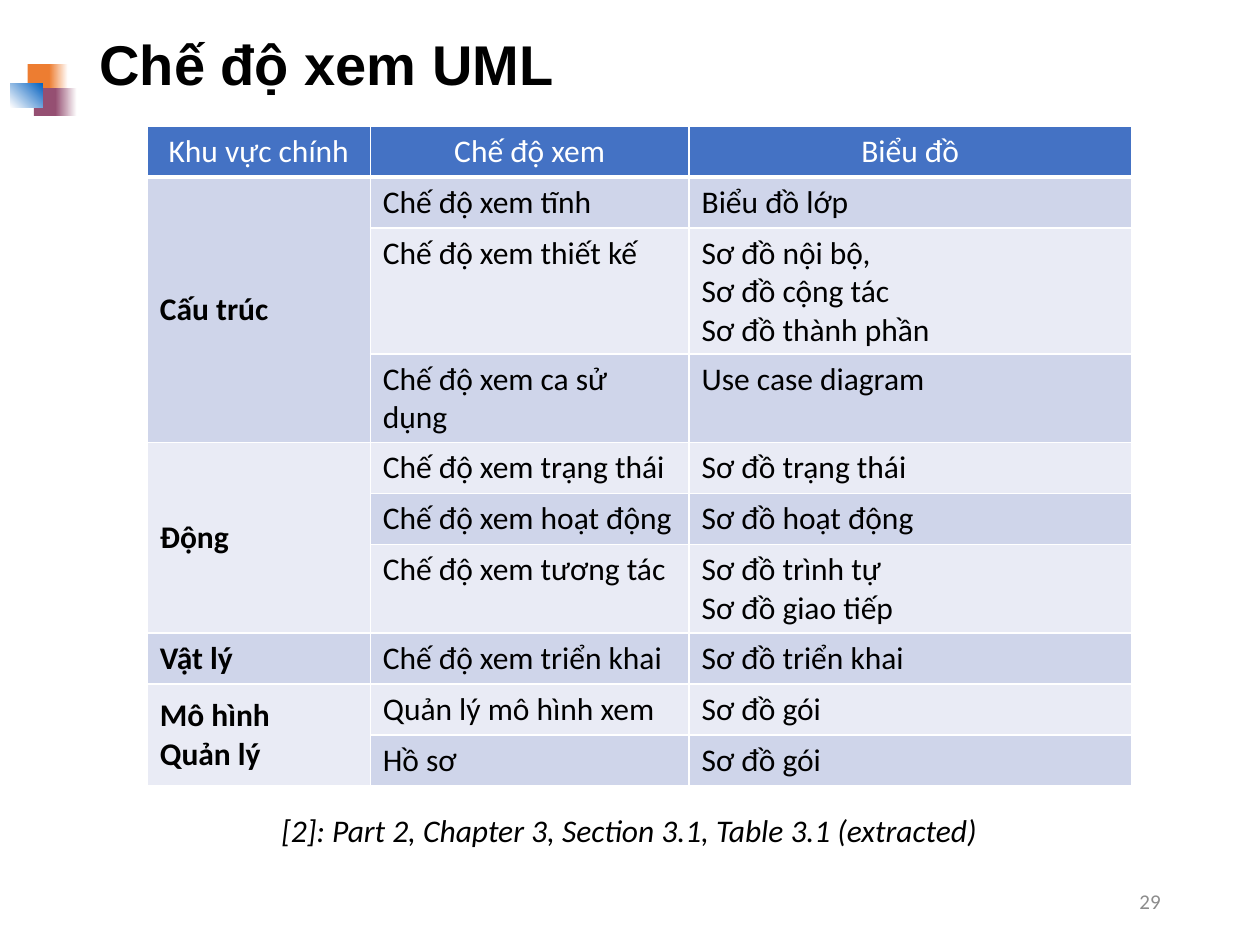
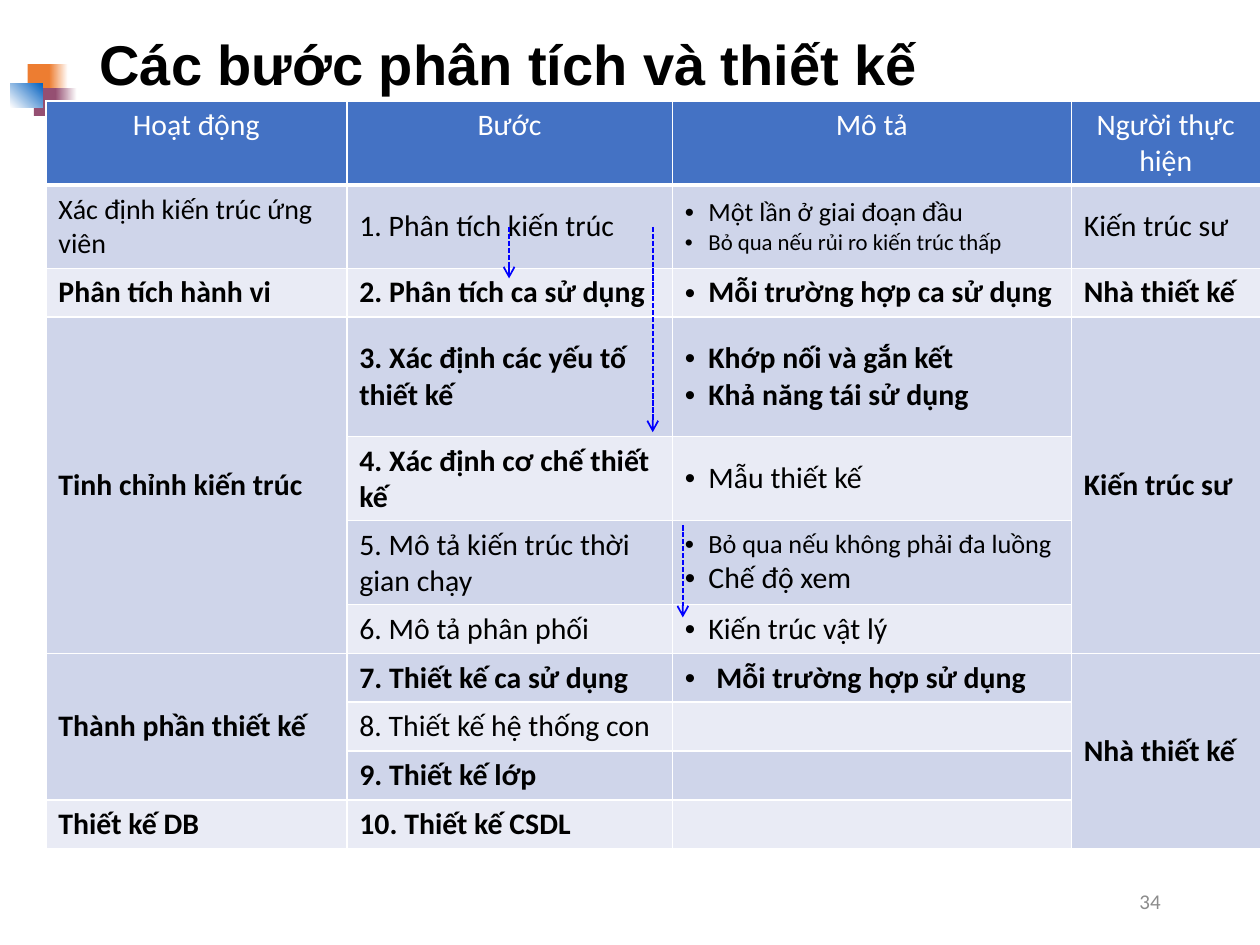
from lxml.etree import SubElement
from pptx import Presentation
from pptx.dml.color import RGBColor
from pptx.enum.dml import MSO_LINE
from pptx.enum.shapes import MSO_CONNECTOR, MSO_SHAPE
from pptx.enum.text import MSO_ANCHOR, PP_ALIGN
from pptx.oxml.ns import qn
from pptx.util import Pt

BLACK, WHITE, GREY = "000000", "FFFFFF", "8C8C8C"
ORANGE, PLUM, BLUE = "ED7D31", "954F72", "0563C1"
HEADER, BANDS, ARROW = "4472C4", ("CFD5EA", "E9EBF5"), "0000FF"

BLOCKS = [
    (15.8, 36.7, 14.4, 15.8, [ORANGE], 0),
    (28.1, 36.7, 10.8, 15.8, [ORANGE, WHITE], 0),
    (19.4, 50.4, 13.7, 15.8, [PLUM], 0),
    (31.7, 50.4, 12.2, 15.8, [PLUM, WHITE], 0),
    (5.8, 47.5, 18.7, 13.7, [WHITE, BLUE], 45),
]

# None continues the cell above; a leading * makes a cell bold.
VIEWS = [
    ("Khu vực chính", "Chế độ xem", "Biểu đồ"),
    ("*Cấu trúc", "Chế độ xem tĩnh", "Biểu đồ lớp"),
    (None, "Chế độ xem thiết kế", "Sơ đồ nội bộ,\nSơ đồ cộng tác\nSơ đồ thành phần"),
    (None, "Chế độ xem ca sử dụng", "Use case diagram"),
    ("*Động", "Chế độ xem trạng thái", "Sơ đồ trạng thái"),
    (None, "Chế độ xem hoạt động", "Sơ đồ hoạt động"),
    (None, "Chế độ xem tương tác", "Sơ đồ trình tự\nSơ đồ giao tiếp"),
    ("*Vật lý", "Chế độ xem triển khai", "Sơ đồ triển khai"),
    ("*Mô hình\nQuản lý", "Quản lý mô hình xem", "Sơ đồ gói"),
    (None, "Hồ sơ", "Sơ đồ gói"),
]
STEPS = [
    ("Hoạt động", "Bước", "Mô tả", "Người thực hiện"),
    ("Xác định kiến trúc ứng viên", "1. Phân tích kiến trúc",
     "Một lần ở giai đoạn đầu\nBỏ qua nếu rủi ro kiến trúc thấp", "Kiến trúc sư"),
    ("*Phân tích hành vi", "*2. Phân tích ca sử dụng",
     "*Mỗi trường hợp ca sử dụng", "*Nhà thiết kế"),
    ("*Tinh chỉnh kiến trúc", "*3. Xác định các yếu tố thiết kế",
     "*Khớp nối và gắn kết\nKhả năng tái sử dụng", "*Kiến trúc sư"),
    (None, "*4. Xác định cơ chế thiết kế", "Mẫu thiết kế", None),
    (None, "5. Mô tả kiến trúc thời gian chạy",
     "Bỏ qua nếu không phải đa luồng\nChế độ xem", None),
    (None, "6. Mô tả phân phối", "Kiến trúc vật lý", None),
    ("*Thành phần thiết kế", "*7. Thiết kế ca sử dụng", "*Mỗi trường hợp sử dụng", "*Nhà thiết kế"),
    (None, "8. Thiết kế hệ thống con", "", None),
    (None, "*9. Thiết kế lớp", "", None),
    ("*Thiết kế DB", "*10. Thiết kế CSDL", "", None),
]
SMALLER = {
    "Xác định kiến trúc ứng viên": 16,
    "Một lần ở giai đoạn đầu": 15,
    "Bỏ qua nếu rủi ro kiến trúc thấp": 13,
    "Bỏ qua nếu không phải đa luồng": 15,
}
WIDER_INDENT = {"Mỗi trường hợp sử dụng": 18}

PAGES = [
    dict(title="Chế độ xem UML", number="29", rows=VIEWS, left=84.2, top=72, size=18,
         widths=[127.4, 182.2, 252.7], heights=[29.2] * 10,
         middle_columns=[0], bullet_column=None, arrows=[],
         caption="[2]: Part 2, Chapter 3, Section 3.1, Table 3.1 (extracted)"),
    dict(title="Các bước phân tích và thiết kế", number="34", rows=STEPS, left=26.2, top=57.6, size=17,
         widths=[172, 186, 228, 108],
         heights=[27.9, 47.7, 27.9, 68.2, 47.7, 47.7] + [27.9] * 5,
         middle_columns=[0, 1, 2, 3], bullet_column=2,
         arrows=[(290.9, 129.6, 159.1), (373, 129.6, 247), (390.2, 300.2, 352.8)],
         caption=None),
]


def color(code):
    return RGBColor.from_string(code)


def write(frame, text, size, code, align=PP_ALIGN.LEFT, bold=False, italic=False, font="Calibri"):
    frame.word_wrap = True
    frame.text = text
    for para in frame.paragraphs:
        para.alignment = align
        for span in para.runs:
            span.font.name = font
            span.font.size = Pt(SMALLER.get(span.text, size))
            span.font.bold = bold
            span.font.italic = italic
            span.font.color.rgb = color(code)
        if not para.runs:
            SubElement(para._p, qn("a:endParaRPr"), sz=str(size * 100))


deck = Presentation()
deck.slide_width, deck.slide_height = Pt(720), Pt(540)

for content in PAGES:
    page = deck.slides.add_slide(deck.slide_layouts[5])

    for left, top, width, height, shades, angle in BLOCKS:
        block = page.shapes.add_shape(MSO_SHAPE.RECTANGLE, Pt(left), Pt(top), Pt(width), Pt(height))
        block.shadow.inherit = False
        block.line.fill.background()
        if len(shades) == 1:
            block.fill.solid()
            block.fill.fore_color.rgb = color(shades[0])
        else:
            block.fill.gradient()
            block.fill.gradient_angle = angle
            for stop, shade, position in zip(block.fill.gradient_stops, shades, (0, 1)):
                stop.color.rgb = color(shade)
                stop.position = position

    title = page.shapes.title
    title.left, title.top, title.width, title.height = Pt(49.7), Pt(9.4), Pt(620.6), Pt(58.3)
    write(title.text_frame, content["title"], 32, BLACK, bold=True, font="Arial")
    title.text_frame.vertical_anchor = MSO_ANCHOR.MIDDLE
    title.text_frame.paragraphs[0].line_spacing = 0.9

    number = page.shapes.add_textbox(Pt(508.3), Pt(500.4), Pt(162), Pt(28.8))
    write(number.text_frame, content["number"], 12, GREY, PP_ALIGN.RIGHT)
    number.text_frame.vertical_anchor = MSO_ANCHOR.MIDDLE

    rows, widths, heights = content["rows"], content["widths"], content["heights"]
    table = page.shapes.add_table(
        len(rows), len(widths), Pt(content["left"]), Pt(content["top"]),
        Pt(sum(widths)), Pt(sum(heights))).table
    for column, width in zip(table.columns, widths):
        column.width = Pt(width)
    for row, height in zip(table.rows, heights):
        row.height = Pt(height)

    for r, row in enumerate(rows):
        for c, text in enumerate(row):
            cell = table.cell(r, c)
            is_header = r == 0
            for side in ("L", "R", "T", "B"):
                weight = 3 if is_header and side == "B" else 1
                border = SubElement(cell._tc.get_or_add_tcPr(), qn("a:ln" + side), w=str(Pt(weight)))
                SubElement(SubElement(border, qn("a:solidFill")), qn("a:srgbClr"), val=WHITE)
            cell.fill.solid()
            cell.fill.fore_color.rgb = color(HEADER if is_header else BANDS[(r - 1) % 2])
            text = text or ""
            write(cell.text_frame, text.removeprefix("*"), content["size"],
                  WHITE if is_header else BLACK,
                  PP_ALIGN.CENTER if is_header else PP_ALIGN.LEFT, text.startswith("*"))
            if is_header:
                continue
            if c in content["middle_columns"]:
                cell.vertical_anchor = MSO_ANCHOR.MIDDLE
            if c == content["bullet_column"] and text:
                for para in cell.text_frame.paragraphs:
                    indent = Pt(WIDER_INDENT.get(para.text, 13.5))
                    properties = para._p.get_or_add_pPr()
                    properties.set("marL", str(indent))
                    properties.set("indent", str(-indent))
                    SubElement(properties, qn("a:buFont"), typeface="Arial")
                    SubElement(properties, qn("a:buChar"), char="•")

    for c in range(len(widths)):
        starts = [r for r, row in enumerate(rows) if row[c] is not None] + [len(rows)]
        for first, following in zip(starts, starts[1:]):
            if following - first > 1:
                table.cell(first, c).merge(table.cell(following - 1, c))

    if content["caption"]:
        caption = page.shapes.add_textbox(Pt(77.8), Pt(460), Pt(563.8), Pt(29))
        write(caption.text_frame, content["caption"], 18, BLACK, PP_ALIGN.CENTER, italic=True)

    for x, start, end in content["arrows"]:
        arrow = page.shapes.add_connector(MSO_CONNECTOR.STRAIGHT, Pt(x), Pt(start), Pt(x), Pt(end))
        arrow.line.color.rgb = color(ARROW)
        arrow.line.width = Pt(1)
        arrow.line.dash_style = MSO_LINE.SQUARE_DOT
        SubElement(arrow.line._get_or_add_ln(), qn("a:tailEnd"), type="arrow")
        SubElement(arrow._element.spPr, qn("a:effectLst"))

deck.save("out.pptx")
